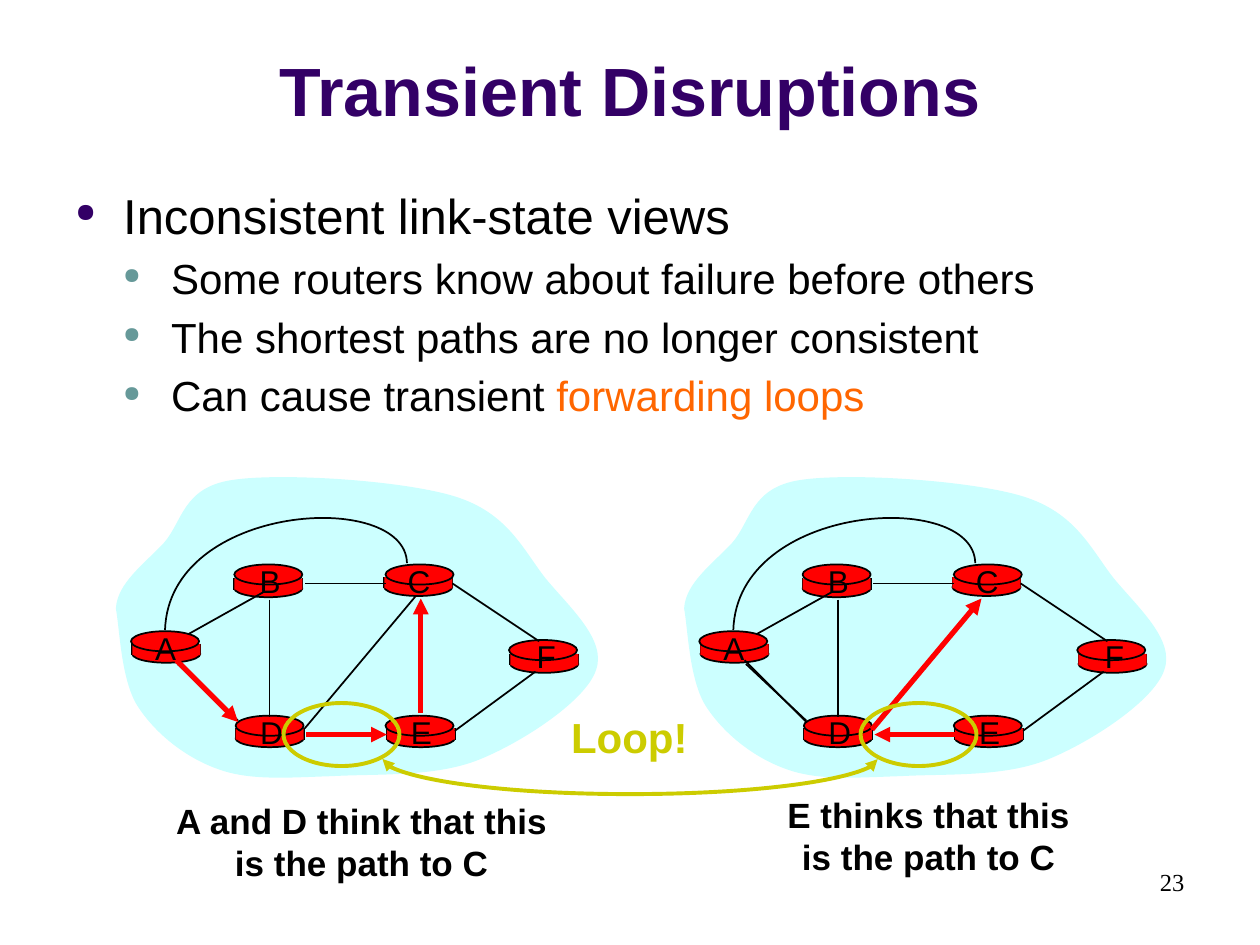
from lxml import etree
from pptx import Presentation
from pptx.dml.color import RGBColor
from pptx.enum import shapes as kinds, text as txt
from pptx.oxml import ns
from pptx.util import Inches, Pt

BLACK, RED, CYAN, OLIVE, PURPLE = "000000", "FF0000", "CCFFFF", "CCCC00", "330066"

TITLE = "Transient Disruptions"
BULLETS = [  # level, runs of (text, colour)
    (0, [("Inconsistent link-state views", BLACK)]),
    (1, [("Some routers know about failure before others", BLACK)]),
    (1, [("The shortest paths are no longer consistent", BLACK)]),
    (1, [("Can cause transient ", BLACK), ("forwarding loops", "FF6600")]),
]
LEVELS = [(28, PURPLE), (24, "669999")]  # text size, bullet colour

# Coordinates are those of the left network; the right one is shifted.
CLOUD = [(0.92, 4.83),
         (0.93, 4.63, 1.14, 4.48, 1.3, 4.31), (1.45, 4.14, 1.45, 3.87, 1.84, 3.81),
         (2.22, 3.75, 3.19, 3.81, 3.61, 3.94), (4.03, 4.07, 4.15, 4.36, 4.33, 4.59),
         (4.52, 4.82, 4.82, 5.08, 4.73, 5.32), (4.65, 5.56, 4.15, 5.89, 3.8, 6.03),
         (3.45, 6.17, 2.99, 6.14, 2.64, 6.16), (2.3, 6.17, 1.98, 6.2, 1.72, 6.1),
         (1.47, 6.01, 1.23, 5.82, 1.09, 5.6), (0.96, 5.39, 0.95, 4.99, 0.92, 4.83)]
ARC_A_TO_C = [(3.23, 4.47), (3.22, 3.88, 1.34, 3.99, 1.31, 5)]
ROUTERS = {  # lid corner, body corner, left of the letter
    "A": ((1.04, 5.01), (1.05, 5.11), 1.13), "D": ((1.87, 5.68), (1.87, 5.78), 1.97),
    "B": ((1.86, 4.48), (1.86, 4.59), 1.96), "C": ((3.06, 4.48), (3.05, 4.58), 3.14),
    "E": ((3.06, 5.68), (3.07, 5.78), 3.16), "F": ((4.04, 5.08), (4.05, 5.19), 4.15)}
SHARED_LINKS = [(1.5, 5.03, 2.09, 4.7), (2.14, 4.76, 2.14, 5.69), (3.61, 5.8, 4.25, 5.33),
                (1.89, 5.72, 1.41, 5.27), (3.06, 4.63, 2.42, 4.63), (4.28, 5.09, 3.59, 4.63)]
A_TO_D = (1.4, 5.24, 1.89, 5.73)
D_TO_C = (2.42, 5.78, 3.3, 4.73)
NETWORKS = [
    dict(shift=0, links=SHARED_LINKS + [D_TO_C],
         route=[A_TO_D, (2.43, 5.83, 3.07, 5.83), (3.34, 5.66, 3.34, 4.75)]),
    dict(shift=4.51, links=SHARED_LINKS + [A_TO_D],
         route=[(3.07, 5.83, 2.43, 5.83), (2.41, 5.79, 3.28, 4.75)]),
]
CAPTIONS = [("A and D think that this\nis the path to C", (0.66, 6.29, 4.42, 0.77)),
            ("E thinks that this\nis the path to C", (5.41, 6.25, 3.92, 0.77))]
LOOP_RINGS = [(2.25, 5.58, 0.92, 0.5), (6.83, 5.58, 0.92, 0.5)]


def rgb(value):
    return RGBColor.from_string(value)


def inches(values):
    return [Inches(v) for v in values]


def write(frame, content, size=18, color=BLACK, font="Arial", bold=False,
          align=txt.PP_ALIGN.CENTER, anchor=txt.MSO_ANCHOR.TOP, wrap=True):
    frame.word_wrap = wrap
    frame.auto_size = txt.MSO_AUTO_SIZE.NONE
    frame.vertical_anchor = anchor
    paragraph = frame.paragraphs[0]
    paragraph.alignment = align
    for i, line in enumerate(content.split("\n")):
        if i:
            paragraph.add_line_break()
        add_run(paragraph, line, size, color, font, bold)


def add_run(paragraph, content, size, color, font="Arial", bold=False):
    run = paragraph.add_run()
    run.text = content
    run.font.size, run.font.name, run.font.bold = Pt(size), font, bold
    run.font.color.rgb = rgb(color)


def add_text(shapes, content, box, **style):
    write(shapes.add_textbox(*inches(box)).text_frame, content, **style)


def paint(shape, fill=None, line=None, width=1):
    shape.shadow.inherit = False
    if fill:
        shape.fill.solid()
        shape.fill.fore_color.rgb = rgb(fill)
    else:
        shape.fill.background()
    if line:
        shape.line.color.rgb = rgb(line)
        shape.line.width = Pt(width)
    else:
        shape.line.fill.background()


def add_preset(shapes, kind, box, **style):
    paint(shapes.add_shape(kind, *inches(box)), **style)


def add_curve(shapes, outline, shift, closed=False, **style):
    """Draw a start point followed by cubic Bézier segments."""
    (x, y), *segments = outline
    controls = [inches((s[i] + shift, s[i + 1])) for s in segments for i in (0, 2, 4)]
    builder = shapes.build_freeform(*inches((x + shift, y)))
    builder.add_line_segments(controls, close=closed)
    curve = builder.convert_to_shape()
    steps = list(curve._element.iter(ns.qn("a:lnTo")))
    for i in range(0, len(controls), 3):
        bezier = etree.Element(ns.qn("a:cubicBezTo"))
        steps[i].addprevious(bezier)
        for step in steps[i:i + 3]:
            bezier.append(step[0])
            step.getparent().remove(step)
    paint(curve, **style)


def style_line(line, color=BLACK, width=1, arrows=()):
    """Arrows are any of headEnd (start) and tailEnd (finish), in that order."""
    line.line.color.rgb = rgb(color)
    line.line.width = Pt(width)
    for end in arrows:
        etree.SubElement(line.line._get_or_add_ln(), ns.qn("a:" + end), type="triangle")
    etree.SubElement(line._element.spPr, ns.qn("a:effectLst"))


def add_line(shapes, ends, shift, **style):
    x1, y1, x2, y2 = ends
    style_line(shapes.add_connector(kinds.MSO_CONNECTOR.STRAIGHT,
                                    *inches((x1 + shift, y1, x2 + shift, y2))), **style)


def add_router(shapes, lid, body, shift):
    oval, rect = kinds.MSO_SHAPE.OVAL, kinds.MSO_SHAPE.RECTANGLE
    x, y = body[0] + shift, body[1]
    add_preset(shapes, oval, (x, y + 0.01, 0.54, 0.14), fill=RED, line=BLACK)
    for side in (x, x + 0.54):
        add_line(shapes, (side, y, side, y + 0.09), 0)
    add_preset(shapes, rect, (x, y, 0.54, 0.09), fill=RED)
    add_preset(shapes, oval, (lid[0] + shift, lid[1], 0.54, 0.16), fill=RED, line=BLACK)


def add_network(shapes, shift, links, route):
    add_curve(shapes, CLOUD, shift, closed=True, fill=CYAN)
    for lid, body, _ in ROUTERS.values():
        add_router(shapes, lid, body, shift)
    for link in links:
        add_line(shapes, link, shift)
    add_curve(shapes, ARC_A_TO_C, shift, line=BLACK)
    for hop in route:
        add_line(shapes, hop, shift, color=RED, width=3, arrows=["tailEnd"])
    for name, (lid, _, left) in ROUTERS.items():
        add_text(shapes, name, (left + shift, lid[1] - 0.07, 0.37, 0.4), wrap=False)


def add_bullets(shapes, box):
    frame = shapes.add_textbox(*inches(box)).text_frame
    frame.word_wrap = True
    for i, (level, runs) in enumerate(BULLETS):
        size, bullet_color = LEVELS[level]
        paragraph = frame.add_paragraph() if i else frame.paragraphs[0]
        paragraph.level = level
        if i:
            paragraph.space_before = Pt(4.8)
        props = paragraph._p.get_or_add_pPr()
        props.set("marL", str(Inches(0.38 * (level + 1))))
        props.set("indent", str(Inches(-0.38)))
        color = etree.SubElement(props, ns.qn("a:buClr"))
        etree.SubElement(color, ns.qn("a:srgbClr"), val=bullet_color)
        etree.SubElement(props, ns.qn("a:buSzPct"), val="53000")
        etree.SubElement(props, ns.qn("a:buChar"), char="●")
        for content, text_color in runs:
            add_run(paragraph, content, size, text_color)


def add_loop_arrow(shapes):
    """Join the two rings by a curve that is a hairline box turned on its side."""
    hairline = 1588
    arrow = shapes.add_connector(kinds.MSO_CONNECTOR.CURVE, Inches(5) + hairline,
                                 Inches(4.06), Inches(5), Inches(7.99))
    props = arrow._element.spPr
    props.find(ns.qn("a:xfrm")).set("rot", str(270 * 60000))
    guides = props.find(ns.qn("a:prstGeom")).find(ns.qn("a:avLst"))
    etree.SubElement(guides, ns.qn("a:gd"), name="adj1", fmla="val 17700000")
    style_line(arrow, color=OLIVE, width=2.25, arrows=["headEnd", "tailEnd"])


def main():
    deck = Presentation()
    deck.slide_width, deck.slide_height = Inches(10), Inches(7.5)
    slide = deck.slides.add_slide(deck.slide_layouts[5])
    shapes = slide.shapes

    title = shapes.title
    title.left, title.top, title.width, title.height = inches((0, 0.13, 10, 0.95))
    write(title.text_frame, TITLE, size=39, color=PURPLE, bold=True,
          anchor=txt.MSO_ANCHOR.BOTTOM)
    add_bullets(shapes, (0.5, 1.42, 9.33, 5.29))
    add_text(shapes, "23", (7.17, 6.83, 2.33, 0.5), size=14, font="Times New Roman",
             align=txt.PP_ALIGN.RIGHT)

    for network in NETWORKS:
        add_network(shapes.add_group_shape().shapes, **network)
    for caption, box in CAPTIONS:
        add_text(shapes, caption, box, size=20, bold=True, anchor=txt.MSO_ANCHOR.MIDDLE)

    for ring in LOOP_RINGS:
        add_preset(shapes, kinds.MSO_SHAPE.OVAL, ring, line=OLIVE, width=2.25)
    add_loop_arrow(shapes)
    add_text(shapes, "Loop!", (4.43, 5.6, 1.13, 0.5), size=24, color=OLIVE, bold=True,
             anchor=txt.MSO_ANCHOR.MIDDLE, wrap=False)
    deck.save("out.pptx")


if __name__ == "__main__":
    main()
